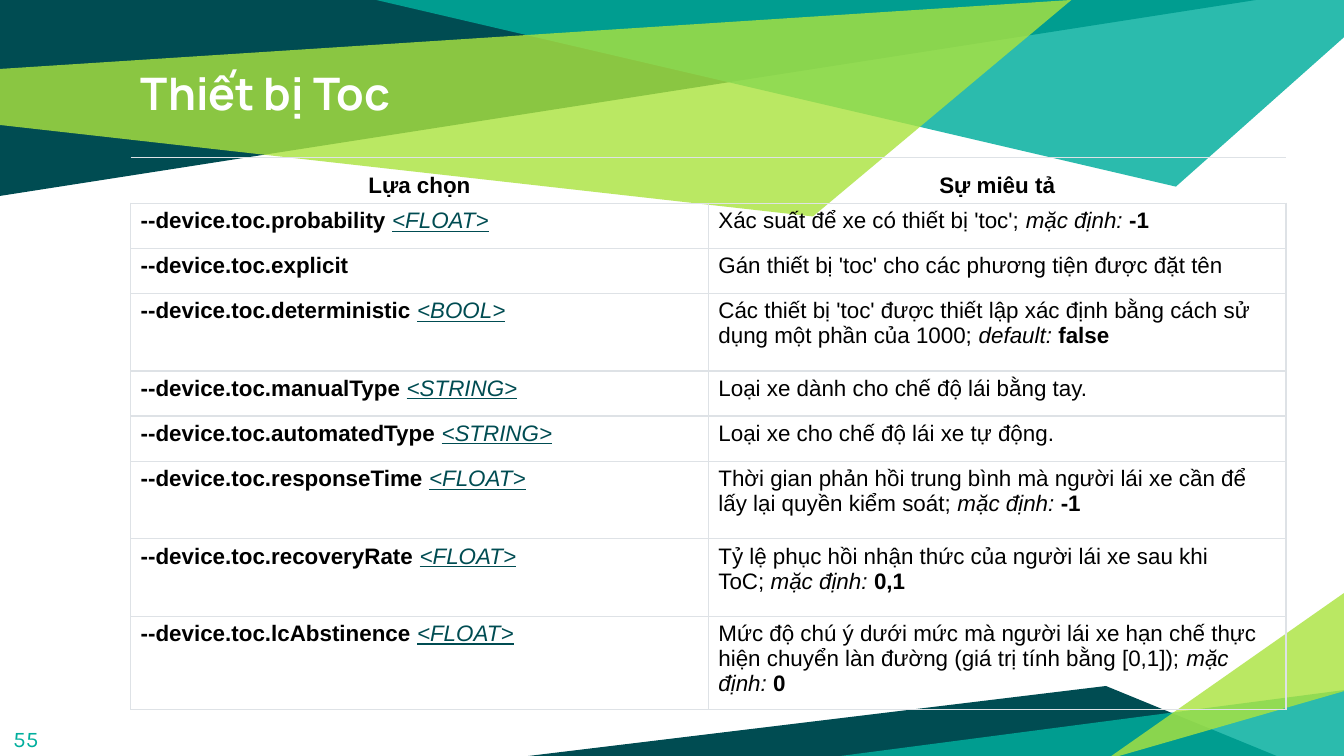
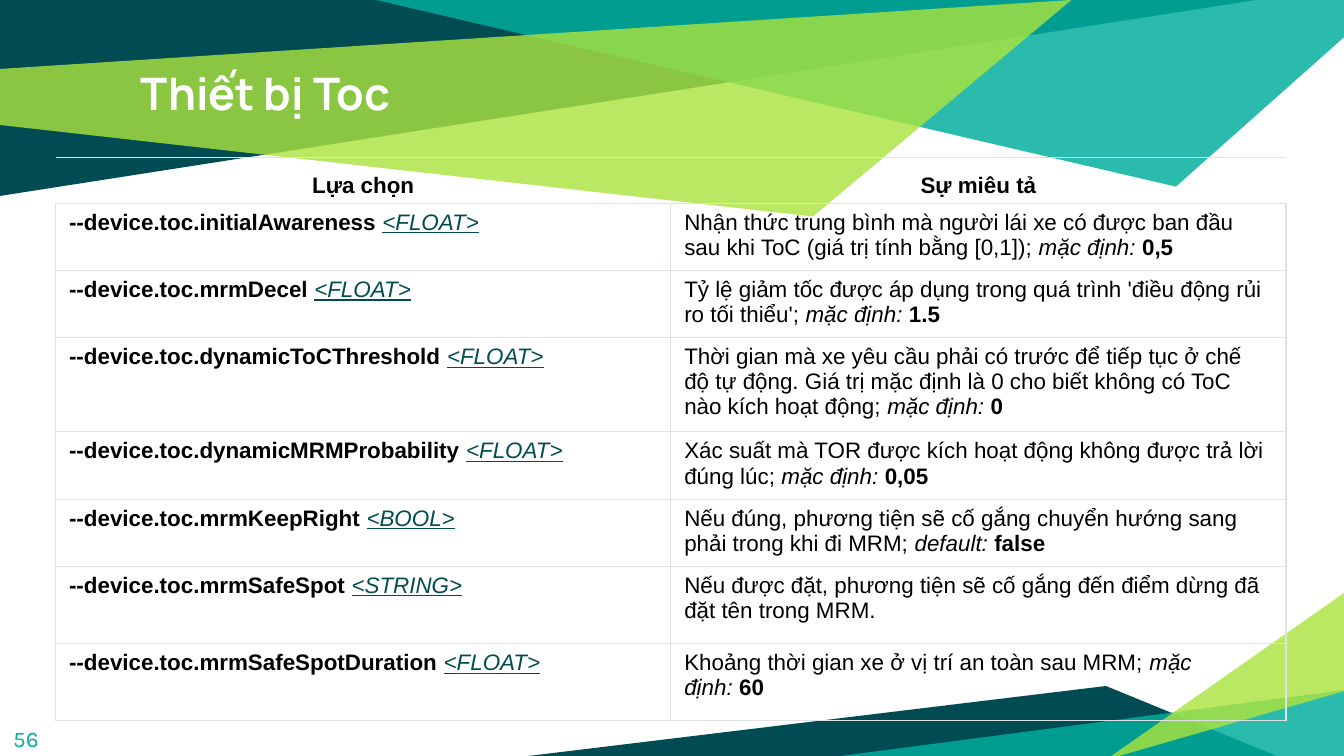
from dataclasses import dataclass
from typing import Any

from lxml.etree import SubElement
from pptx import Presentation
from pptx.dml.color import RGBColor
from pptx.enum.text import MSO_ANCHOR, PP_ALIGN
from pptx.oxml.ns import qn
from pptx.slide import Slide
from pptx.table import _Cell
from pptx.util import Pt

DARK = RGBColor(0x00, 0x4C, 0x52)
TEAL = RGBColor(0x00, 0xAE, 0x9D)
LIME = RGBColor(0xAB, 0xE3, 0x3F)
WHITE = RGBColor(0xFF, 0xFF, 0xFF)
BLACK = RGBColor(0x00, 0x00, 0x00)
BORDER = RGBColor(0xDE, 0xE2, 0xE6)

NBSP = chr(160)
TITLE = "Thiết bị Toc"
HEADERS = ("Lựa chọn", "Sự miêu tả")
PREFIX = "--device.toc."
MAC_DINH = "mặc định:"
DEFAULT = "default:"

TITLE_FONT = {"name": "Manrope", "size": Pt(24), "bold": True}
NUMBER_FONT = {"name": "Karla", "size": Pt(12)}
CELL_FONT = {"name": "Arial", "size": Pt(12), "bold": False}
BOLD = CELL_FONT | {"bold": True}
ITALIC = CELL_FONT | {"italic": True}
LINK = ITALIC | {"underline": True}

TABLE_TOP = 84.3
TABLE_RIGHT = 689
HEADER_HEIGHT = 24.6
TIGHT = (5.4, 2.7)
ROOMY = (7.2, 3.6)


@dataclass(frozen=True)
class Band:
    color: RGBColor
    points: tuple[tuple[float, float], ...]
    opacity: int = 100


@dataclass(frozen=True)
class Option:
    name: str
    kind: str
    description: str
    default: str = ""
    height: float = 24.2
    label: str = MAC_DINH


@dataclass(frozen=True)
class Page:
    number: int
    left: float
    insets: tuple[float, float]
    options: tuple[Option, ...]


BANDS = (
    Band(DARK, ((0, 0), (0, 105), (673, 0))),
    Band(TEAL, ((201.5, 0), (630, 100), (720, 20), (720, 0)), 83),
    Band(LIME, ((-0.5, 37), (0, 67), (435.5, 116), (574, 0)), 81),
    Band(DARK, ((283, 405), (684, 405), (592.5, 367.5))),
    Band(TEAL, ((721.5, 369.5), (721.5, 407), (435, 407)), 83),
    Band(LIME, ((721, 370), (721, 317), (592.5, 407)), 81),
)

PAGES = (
    Page(55, 70, TIGHT, (
        Option("probability", "<FLOAT>", "Xác suất để xe có thiết bị 'toc';", "-1"),
        Option("explicit", "", "Gán thiết bị 'toc' cho các phương tiện được đặt tên"),
        Option("deterministic", "<BOOL>",
               "Các thiết bị 'toc' được thiết lập xác định bằng cách sử dụng "
               "một phần của 1000;", "false", 41.5, DEFAULT),
        Option("manualType", "<STRING>", "Loại xe dành cho chế độ lái bằng tay."),
        Option("automatedType", "<STRING>", "Loại xe cho chế độ lái xe tự động."),
        Option("responseTime", "<FLOAT>",
               "Thời gian phản hồi trung bình mà người lái xe cần để lấy lại "
               "quyền kiểm soát;", "-1", 41.5),
        Option("recoveryRate", "<FLOAT>",
               "Tỷ lệ phục hồi nhận thức của người lái xe sau khi ToC;", "0,1", 41.5),
        Option("lcAbstinence", "<FLOAT>",
               "Mức độ chú ý dưới mức mà người lái xe hạn chế thực hiện chuyển "
               "làn đường (giá trị tính bằng [0,1]);", "0", 50.2),
    )),
    Page(56, 29.8, ROOMY, (
        Option("initialAwareness", "<FLOAT>",
               "Nhận thức trung bình mà người lái xe có được ban đầu sau khi ToC "
               "(giá trị tính bằng [0,1]);", "0,5", 34),
        Option("mrmDecel", "<FLOAT>",
               "Tỷ lệ giảm tốc được áp dụng trong quá trình 'điều động rủi ro "
               "tối thiểu';", "1.5", 34),
        Option("dynamicToCThreshold", "<FLOAT>",
               "Thời gian mà xe yêu cầu phải có trước để tiếp tục ở chế độ tự động."
               f"{NBSP}Giá trị mặc định là 0 cho biết không có ToC nào kích hoạt động;",
               "0", 47.5),
        Option("dynamicMRMProbability", "<FLOAT>",
               "Xác suất mà TOR được kích hoạt động không được trả lời đúng lúc;",
               "0,05", 34),
        Option("mrmKeepRight", "<BOOL>",
               "Nếu đúng, phương tiện sẽ cố gắng chuyển hướng sang phải trong khi "
               "đi MRM;", "false", 34, DEFAULT),
        Option("mrmSafeSpot", "<STRING>",
               "Nếu được đặt, phương tiện sẽ cố gắng đến điểm dừng đã đặt tên "
               "trong MRM.", height=41.4),
        Option("mrmSafeSpotDuration", "<FLOAT>",
               "Khoảng thời gian xe ở vị trí an toàn sau MRM;", "60", 41.4),
    )),
)


def apply(target: Any, values: dict[str, Any]) -> None:
    for name, value in values.items():
        setattr(target, name, value)


def add_run(p: Any, text: str, font: dict[str, Any], color: RGBColor) -> None:
    r = p.add_run()
    r.text = text
    apply(r.font, font)
    r.font.color.rgb = color


def add_band(s: Slide, band: Band) -> None:
    start, *rest = [(Pt(x), Pt(y)) for x, y in band.points]
    builder = s.shapes.build_freeform(*start)
    builder.add_line_segments(rest, close=True)
    sp = builder.convert_to_shape()
    sp.shadow.inherit = False
    sp.line.fill.background()
    sp.fill.solid()
    sp.fill.fore_color.rgb = band.color
    if band.opacity < 100:
        color = sp.element.spPr.find(f"{qn('a:solidFill')}/{qn('a:srgbClr')}")
        SubElement(color, qn("a:alpha"), val=str(band.opacity * 1000))


def add_text(s: Slide, box: tuple[float, float, float, float], text: str,
             font: dict[str, Any], color: RGBColor, anchor: MSO_ANCHOR) -> None:
    tf = s.shapes.add_textbox(*map(Pt, box)).text_frame
    margins = dict.fromkeys(
        ("margin_left", "margin_top", "margin_right", "margin_bottom"), Pt(7.2))
    apply(tf, margins | {"word_wrap": True, "vertical_anchor": anchor})
    add_run(tf.paragraphs[0], text, font, color)


def format_cell(cell: _Cell, insets: tuple[float, float], sides: str) -> None:
    x, y = map(Pt, insets)
    apply(cell, {"margin_left": x, "margin_right": x, "margin_top": y, "margin_bottom": y})
    tc_pr = cell._tc.get_or_add_tcPr()
    for side in "LRTB":
        ln = SubElement(tc_pr, qn(f"a:ln{side}"), w=str(Pt(0.75)))
        if side in sides:
            fill = SubElement(ln, qn("a:solidFill"))
            SubElement(fill, qn("a:srgbClr"), val=str(BORDER))
        else:
            SubElement(ln, qn("a:noFill"))
    cell.fill.background()


def add_options(s: Slide, page: Page) -> None:
    heights = [HEADER_HEIGHT, *(option.height for option in page.options)]
    width = TABLE_RIGHT - page.left
    table = s.shapes.add_table(len(heights), len(HEADERS), Pt(page.left), Pt(TABLE_TOP),
                               Pt(width), Pt(sum(heights))).table
    apply(table, {"first_row": False, "horz_banding": False})
    for row, height in zip(table.rows, heights):
        row.height = Pt(height)
    for column, header in enumerate(HEADERS):
        cell = table.cell(0, column)
        format_cell(cell, TIGHT, "TB")
        cell.vertical_anchor = MSO_ANCHOR.BOTTOM
        p = cell.text_frame.paragraphs[0]
        p.alignment = PP_ALIGN.CENTER
        add_run(p, header, BOLD, BLACK)
    for row, option in enumerate(page.options, 1):
        cells = [table.cell(row, column) for column in range(len(HEADERS))]
        for cell in cells:
            format_cell(cell, page.insets, "LRTB")
        name, description = (cell.text_frame.paragraphs[0] for cell in cells)
        gap = NBSP if option.kind else ""
        add_run(name, PREFIX + option.name + gap, BOLD, BLACK)
        if option.kind:
            add_run(name, option.kind, LINK, DARK)
        gap = NBSP if option.default else ""
        add_run(description, option.description + gap, CELL_FONT, BLACK)
        if option.default:
            add_run(description, option.label + NBSP, ITALIC, BLACK)
            add_run(description, option.default, BOLD, BLACK)


def main() -> None:
    prs = Presentation()
    apply(prs, {"slide_width": Pt(720), "slide_height": Pt(405)})
    for page in PAGES:
        s = prs.slides.add_slide(prs.slide_layouts[6])
        for band in BANDS:
            add_band(s, band)
        add_text(s, (68.4, 28, 580, 67.7), TITLE, TITLE_FONT, WHITE, MSO_ANCHOR.TOP)
        add_text(s, (0, 380, 43, 31), str(page.number), NUMBER_FONT, TEAL, MSO_ANCHOR.MIDDLE)
        add_options(s, page)
    prs.save("out.pptx")


if __name__ == "__main__":
    main()
